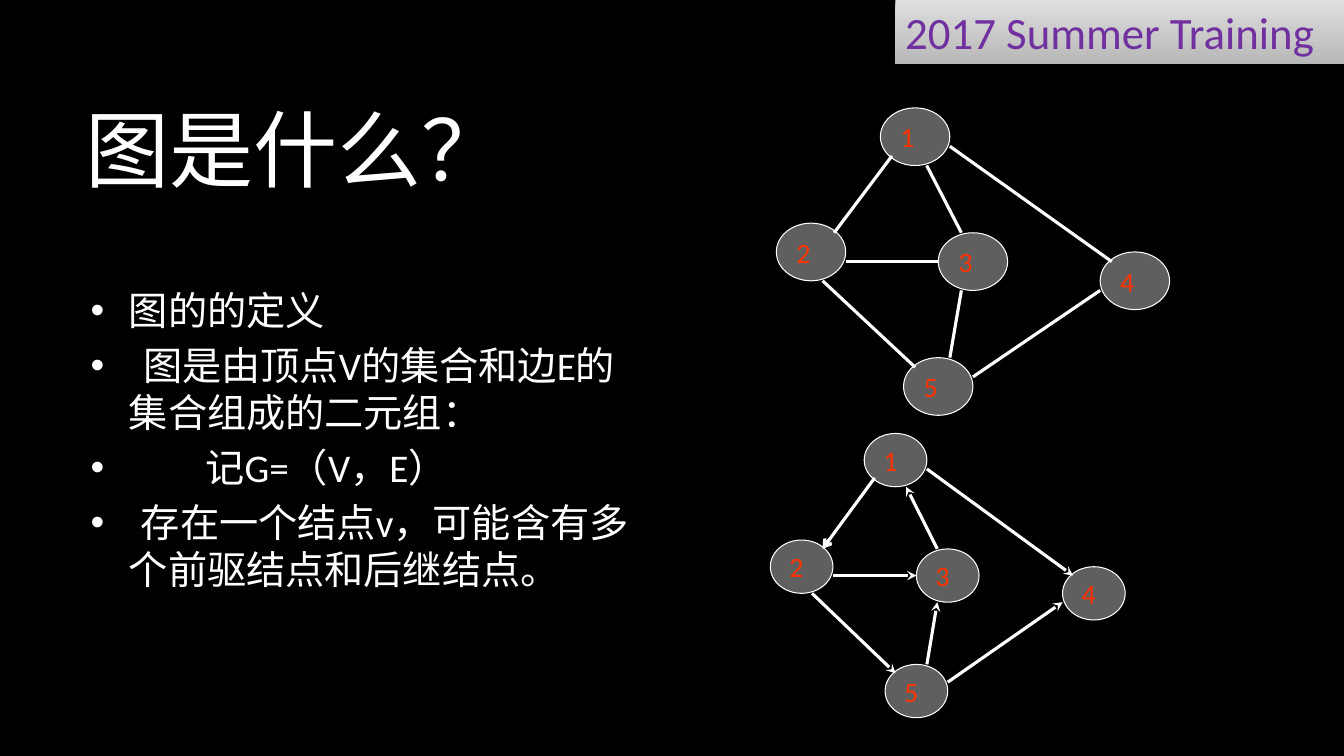
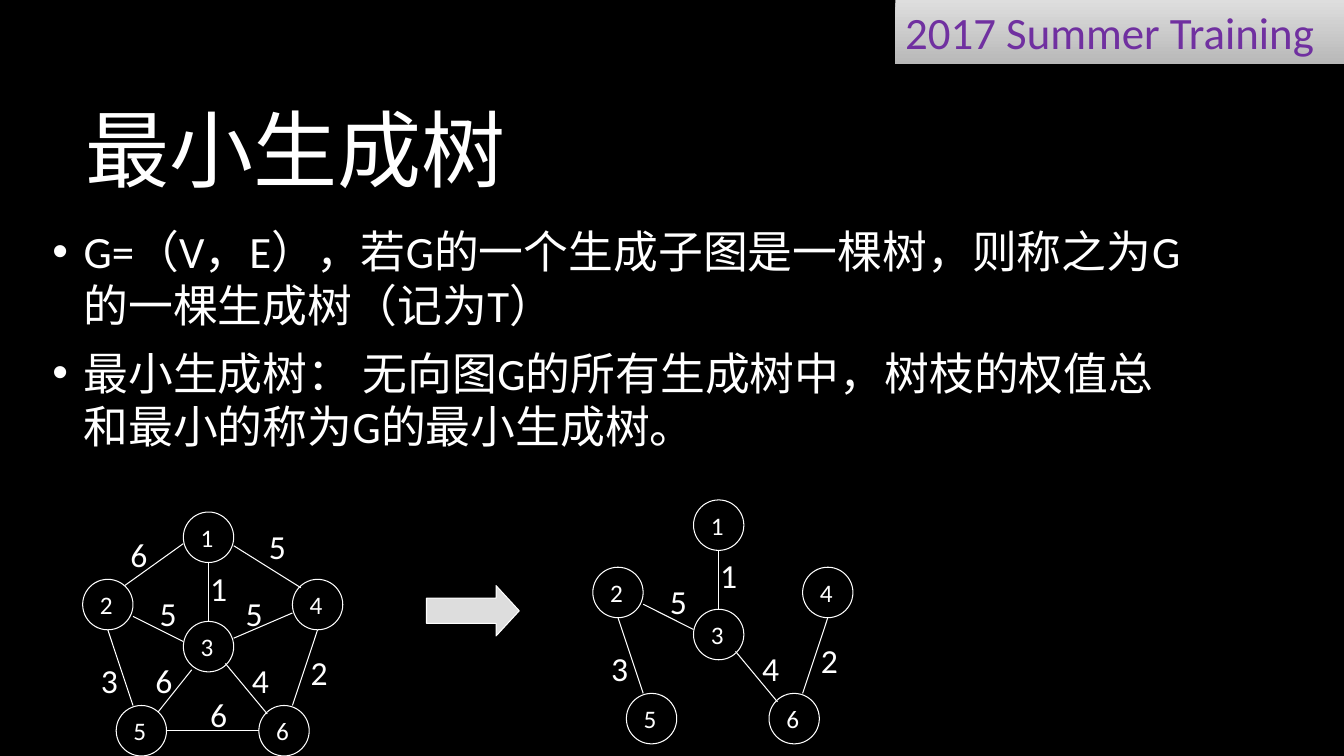
from lxml import etree
from pptx import Presentation
from pptx.dml.color import RGBColor
from pptx.enum.shapes import MSO_CONNECTOR, MSO_SHAPE
from pptx.enum.text import MSO_ANCHOR, MSO_AUTO_SIZE, PP_ALIGN
from pptx.oxml.ns import qn
from pptx.util import Inches, Pt

LINE, OVAL = MSO_CONNECTOR.STRAIGHT, MSO_SHAPE.OVAL
RECT, RIGHT_ARROW = MSO_SHAPE.RECTANGLE, MSO_SHAPE.RIGHT_ARROW
TOP, MIDDLE = MSO_ANCHOR.TOP, MSO_ANCHOR.MIDDLE
LEFT = PP_ALIGN.LEFT
NO_FIT = MSO_AUTO_SIZE.NONE

COLORS = {
    "background": "000000", "text": "FFFFFF", "band_top": "DEDEDE",
    "band_bottom": "B8B8B8", "band_text": "7030A0", "node": "5F5F5F",
    "node_text": "FF3300", "arrow": "DDDDDD",
}
BODY_FONT, TITLE_FONT = "Calibri", "Noto Sans CJK JP"
SLIDE_W, SLIDE_H = 13.33, 7.5
NODE_CELLS = 6

VERTEX_GRID = (34, 32)
VERTICES = {"1": (9, 0), "2": (0, 12), "3": (14, 13), "4": (28, 15), "5": (11, 26)}
ARCS = [
    ((10, 5), (5, 13), "arrow"),
    ((16, 13), (13, 6), "stealth"),
    ((4, 18), (12, 27), "stealth"),
    ((6, 16), (14, 16), "stealth"),
    ((15, 4), (29, 16), "stealth"),
    ((17, 28), (28, 19), "stealth"),
    ((15, 26), (16, 19), "stealth"),
]

TREE_GRID = (31, 29)
TREE_NODES = {"1": (12, 0), "2": (0, 8), "3": (12, 13), "4": (25, 8),
              "5": (4, 23), "6": (21, 23)}
TREE_EDGES = [
    ((15, 13), (15, 6), "1", (14, 6)),
    ((6, 12.4), (12, 15.4), "5", (8, 9)),
    ((6, 23), (3, 14), "3", (1, 17)),
    ((17, 18), (22, 24), "4", (19, 17)),
    ((25, 23), (28, 14), "2", (26, 16)),
]
OTHER_EDGES = [
    ((5, 8.75), (12, 3.75), "6", (4.5, 2)),
    ((9, 23.75), (13, 18.75), "6", (7.5, 17)),
    ((18, 15), (25, 12), "5", (18.25, 9)),
    ((18, 4), (26, 9), "5", (21, 1)),
    ((10, 26), (21, 26), "6", (14, 21)),
]


def rgb(name):
    """Look up a named colour."""
    return RGBColor.from_string(COLORS[name])


def sub(parent, tag, **attrs):
    """Append a drawing element with attributes."""
    return etree.SubElement(parent, qn(tag), {k: str(v) for k, v in attrs.items()})


def style(p, size, color="text", font=BODY_FONT):
    """Set the paragraph's font, for Latin and East Asian text alike."""
    p.alignment = LEFT
    p.font.size = Pt(size)
    p.font.name = font
    p.font.color.rgb = rgb(color)
    latin = p.font._element.find(qn("a:latin"))
    latin.addnext(etree.Element(qn("a:ea"), {"typeface": font}))


def write(shape, text, size, color="text", font=BODY_FONT, anchor=TOP, wrap=True):
    """Put one styled paragraph into a shape."""
    tf = shape.text_frame
    tf.auto_size, tf.word_wrap, tf.vertical_anchor = NO_FIT, wrap, anchor
    tf.text = text
    style(tf.paragraphs[0], size, color, font)


def setup_master(prs, s):
    """Give the master its background and the course band."""
    master = prs.slide_master
    master.background.fill.solid()
    master.background.fill.fore_color.rgb = rgb("background")
    width = SLIDE_W / 3
    width = 4.45
    band = s.shapes.add_shape(RECT, Inches(SLIDE_W - width), 0, Inches(width), Inches(0.64))
    band.line.fill.background()
    band.fill.gradient()
    band.fill.gradient_angle = 270
    for stop, name in zip(band.fill.gradient_stops, ("band_top", "band_bottom")):
        stop.color.rgb = rgb(name)
    effects = sub(band._element.spPr, "a:effectLst")
    shadow = sub(effects, "a:outerShdw", blurRad=Pt(5), dist=Pt(3), dir=5400000, rotWithShape=0)
    sub(sub(shadow, "a:srgbClr", val=COLORS["background"]), "a:alpha", val=65000)
    write(band, "2017 Summer Training", 32, "band_text")
    master.shapes._spTree.append(band._element)


def add_title_slide(prs, title):
    """Add a title-only slide and place its title."""
    s = prs.slides.add_slide(prs.slide_layouts[5])
    shape = s.shapes.title
    shape.left, shape.top, shape.width, shape.height = map(Inches, (0.75, 0.67, 11.08, 1.59))
    write(shape, title, 60, font=TITLE_FONT, anchor=MIDDLE)
    return s


def add_bullets(s, box, items, size, indent, before=0, after=0):
    """Add a bulleted text box from (text, first-line gap) pairs."""
    tf = s.shapes.add_textbox(*map(Inches, box)).text_frame
    tf.word_wrap = True
    for i, (text, gap) in enumerate(items):
        p = tf.paragraphs[0] if i == 0 else tf.add_paragraph()
        p.text = "\t" + text if gap else text
        if i:
            p.space_before = Pt(before)
        p.space_after = Pt(after)
        pPr = p._p.get_or_add_pPr()
        pPr.set("marL", str(Inches(indent)))
        pPr.set("indent", str(-Inches(indent)))
        sub(pPr, "a:buFont", typeface="Arial")
        sub(pPr, "a:buChar", char="•")
        if gap:
            sub(sub(pPr, "a:tabLst"), "a:tab", pos=Inches(gap), algn="l")
        style(p, size)


def add_edge(shapes, start, end, width, tip=None):
    """Draw an edge, with an arrowhead at its end if asked."""
    line = shapes.add_connector(LINE, *start, *end)
    line.line.color.rgb = rgb("text")
    line.line.width = Pt(width)
    if tip:
        sub(line.line._get_or_add_ln(), "a:tailEnd", type=tip)
    sub(line._element.spPr, "a:effectLst")


def add_graph(s, box, grid, nodes, edges, node_size, edge_width, text_color="text", fill=None):
    """Draw nodes and edges on a grid fitted to the box."""
    left, top, width, height = box
    col, row = width / grid[0], height / grid[1]
    shapes = s.shapes.add_group_shape().shapes

    def at(cell):
        return Inches(left + cell[0] * col), Inches(top + cell[1] * row)

    for name, cell in nodes.items():
        node = shapes.add_shape(OVAL, *at(cell), Inches(NODE_CELLS * col), Inches(NODE_CELLS * row))
        node.shadow.inherit = False
        if fill:
            node.fill.solid()
            node.fill.fore_color.rgb = rgb(fill)
        else:
            node.fill.background()
        node.line.color.rgb = rgb("text")
        node.line.width = Pt(0.75)
        write(node, name, node_size, text_color, anchor=MIDDLE, wrap=False)
    for start, end, tip, weight, cell in edges:
        add_edge(shapes, at(start), at(end), edge_width, tip)
        if weight:
            label = shapes.add_textbox(*at(cell), Inches(4 * col), Inches(6 * row))
            write(label, weight, 24)


def add_vertex_graph(s, box, directed):
    """Draw the five-vertex graph with or without arrowheads."""
    edges = [(a, b, tip if directed else None, None, None) for a, b, tip in ARCS]
    add_graph(s, box, VERTEX_GRID, VERTICES, edges, 20, 2.25, "node_text", "node")


def add_weighted_graph(s, left, top, edges):
    """Draw the six-node weighted graph with the given edges."""
    edges = [(a, b, None, weight, cell) for a, b, weight, cell in edges]
    add_graph(s, (left, top, 2.58, 2.42), TREE_GRID, TREE_NODES, edges, 18, 0.75)


def add_arrow(s, box):
    """Draw the block arrow between two graphs."""
    arrow = s.shapes.add_shape(RIGHT_ARROW, *map(Inches, box))
    arrow.shadow.inherit = False
    arrow.adjustments[1] = 0.46
    arrow.fill.solid()
    arrow.fill.fore_color.rgb = rgb("arrow")
    arrow.line.color.rgb = rgb("text")
    arrow.line.width = Pt(0.75)


def main():
    """Build the two slides."""
    prs = Presentation()
    prs.slide_width, prs.slide_height = Inches(SLIDE_W), Inches(SLIDE_H)

    s = add_title_slide(prs, "图是什么？")
    setup_master(prs, s)
    add_bullets(s, (0.8, 2.79, 5.55, 2.89), [
        ("图的的定义", 0),
        ("图是由顶点V的集合和边E的集合组成的二元组：", 0.52),
        ("记G=（V，E）", 1.14),
        ("存在一个结点v，可能含有多个前驱结点和后继结点。", 0.26),
    ], 28, 0.38, before=5.6)
    add_vertex_graph(s, (7.7, 1.07, 3.9, 3.05), directed=False)
    add_vertex_graph(s, (7.64, 4.3, 3.52, 2.82), directed=True)

    s = add_title_slide(prs, "最小生成树")
    add_bullets(s, (0.42, 2.17, 11.52, 2.5), [
        ("G=（V，E），若G的一个生成子图是一棵树，则称之为G的一棵生成树（记为T）", 0),
        ("最小生成树： 无向图G的所有生成树中，树枝的权值总和最小的称为G的最小生成树。", 0),
    ], 32, 0.31, after=10)
    add_weighted_graph(s, 0.82, 5.08, TREE_EDGES + OTHER_EDGES)
    add_arrow(s, (4.23, 5.81, 0.92, 0.5))
    add_weighted_graph(s, 5.88, 4.96, TREE_EDGES)

    prs.save("out.pptx")


if __name__ == "__main__":
    main()
